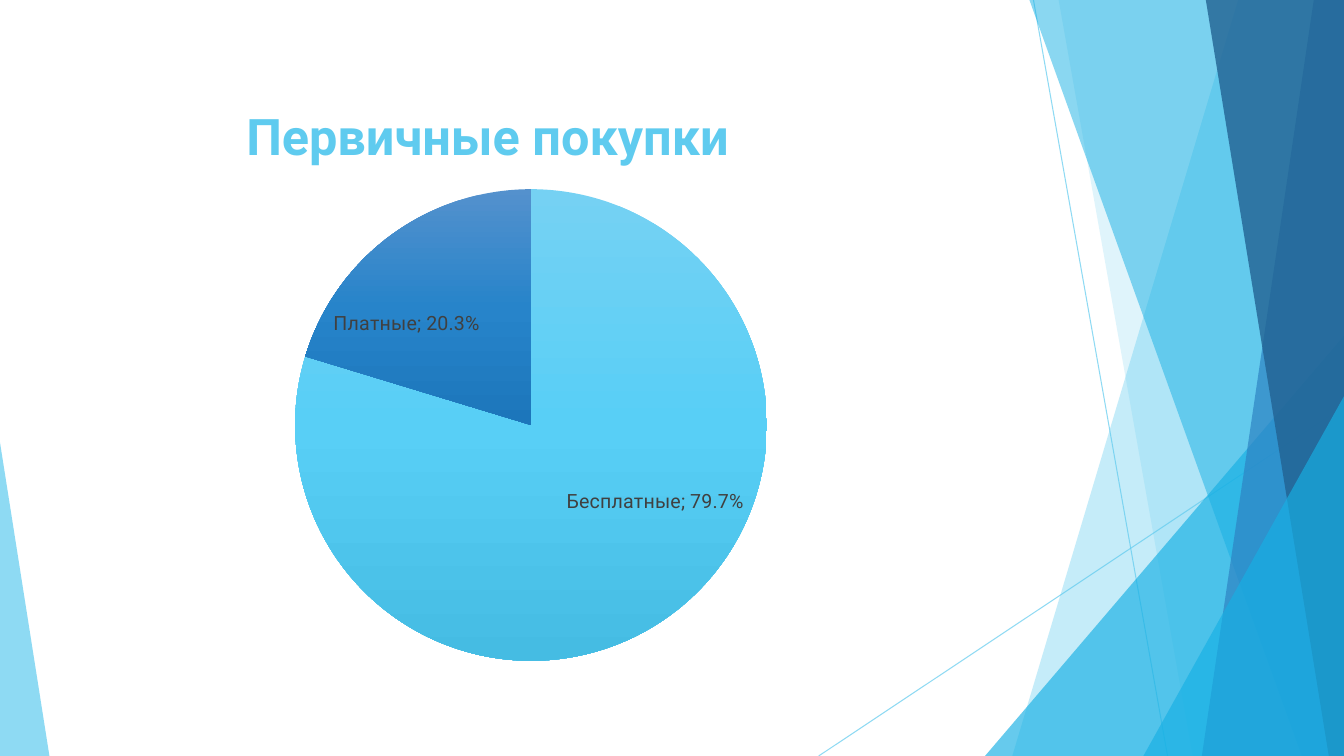
from copy import deepcopy
from dataclasses import dataclass

from pptx import Presentation
from pptx.chart.data import CategoryChartData
from pptx.dml.color import RGBColor
from pptx.enum.chart import XL_CHART_TYPE, XL_LABEL_POSITION
from pptx.enum.shapes import MSO_CONNECTOR, MSO_SHAPE
from pptx.oxml import parse_xml
from pptx.oxml.ns import nsdecls, qn
from pptx.util import Inches, Pt


@dataclass(frozen=True)
class Theme:
    font: str = "Roboto"
    sky: str = "5FCBEF"
    cyan: str = "17B0E4"
    blue: str = "2E83C3"
    navy: str = "226292"
    text: str = "404040"
    free: tuple = ("75D1F3", "58CFF6", "45BCE3")
    paid: tuple = ("5491CD", "2784CA", "1C76BB")
    title_size: int = 36
    label_size: int = 14
    hairline: float = 0.75


THEME = Theme()
WIDTH, HEIGHT = 13.33, 7.5


def style_font(font, size, color, bold=False):
    font.name = THEME.font
    font.size = Pt(size)
    font.bold = bold
    font.color.rgb = RGBColor.from_string(color)


def write_text(tf, text, **fmt):
    p = tf.paragraphs[0]
    r = p.add_run()
    r.text = text
    style_font(r.font, **fmt)


def set_alpha(element, percent):
    clr = next(element.iter(qn("a:srgbClr")))
    clr.append(parse_xml(f'<a:alpha {nsdecls("a")} val="{percent * 1000}"/>'))


def manual_layout(x, y, w=None, h=None, edge=True, inner=False):
    parts = '<c:layoutTarget val="inner"/>' if inner else ""
    if edge:
        parts += '<c:xMode val="edge"/><c:yMode val="edge"/>'
    for tag, value in (("x", x), ("y", y), ("w", w), ("h", h)):
        if value is not None:
            parts += f'<c:{tag} val="{value:.3f}"/>'
    return parse_xml(f'<c:layout {nsdecls("c")}><c:manualLayout>{parts}'
                     '</c:manualLayout></c:layout>')


def place(parent, index, layout):
    for old in parent.findall(qn("c:layout")):
        parent.remove(old)
    parent.insert(index, layout)


class Deck:
    def __init__(self, prs, theme):
        self.theme = theme
        self.s = prs.slides.add_slide(prs.slide_layouts[6])

    def line(self, x1, y1, x2, y2, color, alpha):
        cn = self.s.shapes.add_connector(
            MSO_CONNECTOR.STRAIGHT, *map(Inches, (x1, y1, x2, y2)))
        cn.line.width = Pt(self.theme.hairline)
        cn.line.color.rgb = RGBColor.from_string(color)
        spPr = cn._element.spPr
        set_alpha(spPr, alpha)
        spPr.append(parse_xml(f'<a:effectLst {nsdecls("a")}/>'))

    def paint(self, sp, color, alpha):
        sp.shadow.inherit = False
        sp.fill.solid()
        sp.fill.fore_color.rgb = RGBColor.from_string(color)
        sp.line.fill.background()
        set_alpha(sp._element.spPr, alpha)

    def band(self, top_x, bottom_x, color, alpha):
        """Full-height facet from a slanted left edge to the slide's right edge."""
        corners = [(top_x, 0), (WIDTH, 0), (WIDTH, HEIGHT), (bottom_x, HEIGHT)]
        points = [(Inches(x), Inches(y)) for x, y in corners]
        fb = self.s.shapes.build_freeform(*points[0])
        fb.add_line_segments(points[1:], close=True)
        self.paint(fb.convert_to_shape(), color, alpha)

    def corner(self, left, top, width, apex, color, alpha):
        """Right triangle standing on the slide's bottom edge."""
        sp = self.s.shapes.add_shape(
            MSO_SHAPE.ISOSCELES_TRIANGLE,
            *map(Inches, (left, top, width, HEIGHT - top)))
        sp.adjustments[0] = apex
        self.paint(sp, color, alpha)

    def pie(self, box, title, slices, title_at, plot_at):
        left, top, width, height = box
        data = CategoryChartData(number_format="0.0%")
        data.categories = [name for name, *_ in slices]
        data.add_series("Series 1", [value for _, value, *_ in slices])
        chart = self.s.shapes.add_chart(
            XL_CHART_TYPE.PIE, *map(Inches, box), data).chart
        chart.has_legend = False
        style_font(chart.font, self.theme.label_size, self.theme.text)
        plot = chart.plots[0]
        plot.vary_by_categories = False

        # Title and plot area, placed in slide inches
        chart.has_title = True
        write_text(chart.chart_title.text_frame, title,
                   size=self.theme.title_size, color=self.theme.sky, bold=True)
        x, y = title_at
        place(chart.chart_title._element, 1,
              manual_layout((x - left) / width, (y - top) / height))
        x, y, size = plot_at
        area = chart._chartSpace.find(f'{qn("c:chart")}/{qn("c:plotArea")}')
        place(area, 0, manual_layout((x - left) / width, (y - top) / height,
                                     size / width, size / height, inner=True))

        # Labels shared by all slices
        series = plot.series[0]
        labels = series.data_labels
        labels.show_value = labels.show_category_name = True
        labels.number_format = "0.0%"
        labels.number_format_is_linked = False
        style_font(labels.font, self.theme.label_size, self.theme.text)
        labels.position = XL_LABEL_POSITION.CENTER
        dLbls = labels._element
        dLbls.find(qn("c:showBubbleSize")).addnext(
            parse_xml(f'<c:separator {nsdecls("c")}>; </c:separator>'))
        for leader in dLbls.findall(qn("c:showLeaderLines")):
            leader.set("val", "0")
        shared = [el for el in dLbls if el.tag != qn("c:showLeaderLines")]

        # Gradient and label offset of each slice
        for i, (_, _, colors, offset) in enumerate(slices):
            fmt = series.points[i].format
            fmt.line.fill.background()
            fmt.fill.gradient()
            fmt.fill.gradient_angle = 270
            stops = series._element.xpath(
                f'c:dPt[c:idx/@val="{i}"]/c:spPr/a:gradFill/a:gsLst')[0]
            for old in list(stops):
                stops.remove(old)
            for n, color in enumerate(colors):
                stops.append(parse_xml(
                    f'<a:gs {nsdecls("a")} pos="{n * 50000}">'
                    f'<a:srgbClr val="{color}"/></a:gs>'))
            dLbl = parse_xml(f'<c:dLbl {nsdecls("c")}><c:idx val="{i}"/></c:dLbl>')
            dLbl.append(manual_layout(*offset, edge=False))
            dLbl.extend(deepcopy(shared))
            dLbls.insert(i, dLbl)


prs = Presentation()
prs.slide_width, prs.slide_height = Inches(WIDTH), Inches(HEIGHT)
deck = Deck(prs, THEME)

# Faceted backdrop
deck.line(10.25, 0, 11.58, HEIGHT, THEME.sky, 70)
deck.line(WIDTH, 4.03, 8.12, HEIGHT, THEME.sky, 70)
deck.band(12.28, 10.04, THEME.sky, 36)
deck.band(10.5, 11.83, THEME.sky, 20)
deck.corner(9.77, 3.33, 3.56, 1, THEME.cyan, 66)
deck.band(10.21, 12.91, THEME.cyan, 50)
deck.band(13.03, 11.92, THEME.blue, 70)
deck.band(11.96, 13.18, THEME.navy, 80)
deck.corner(11.34, 3.93, 1.99, 1, THEME.cyan, 66)
deck.corner(0, 4.39, 0.49, 0, THEME.sky, 70)

# Purchases pie
deck.pie(
    (0.92, 0.59, 7.66, 6.1), "Первичные покупки",
    [("Бесплатные", 0.797, THEME.free, (0.07, -0.03)),
     ("Платные", 0.203, THEME.paid, (-0.07, -0.01))],
    title_at=(2.35, 0.92), plot_at=(2.93, 1.88, 4.68))

prs.save("out.pptx")
